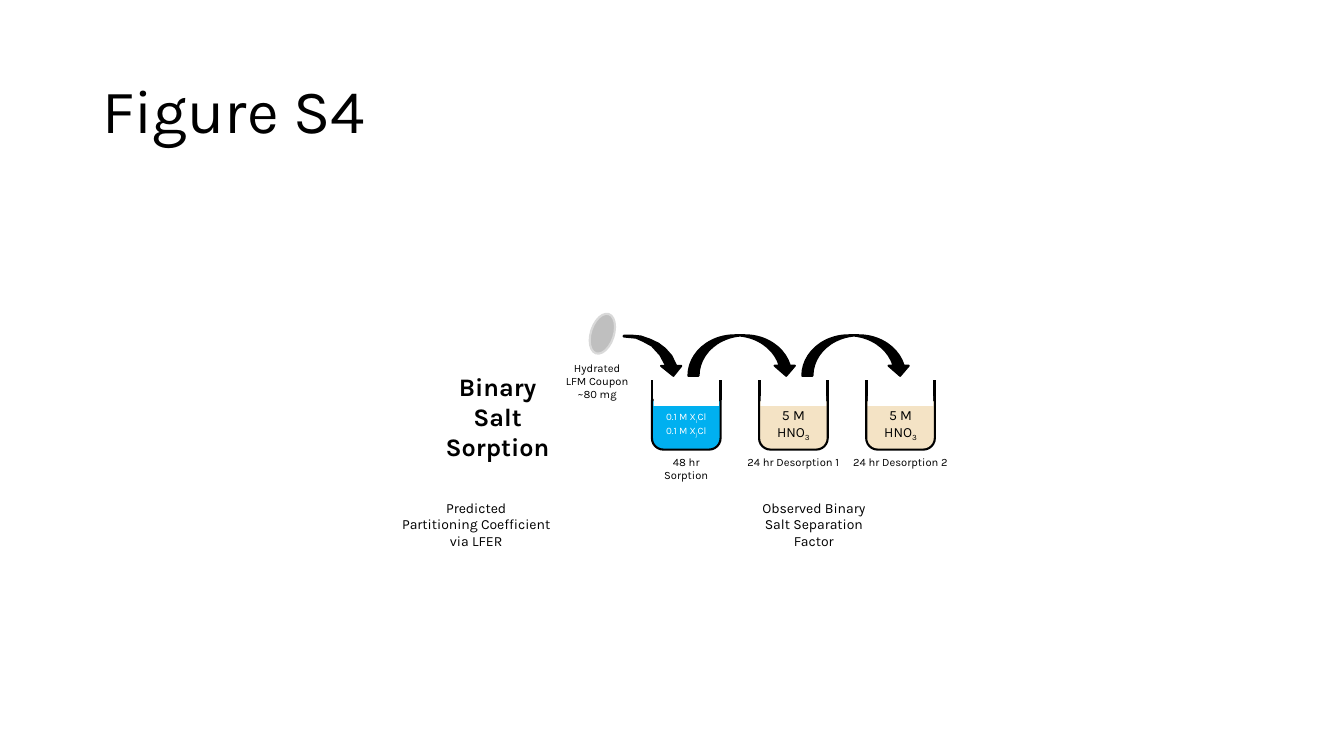
from lxml.etree import SubElement
from pptx import Presentation
from pptx.dml.color import RGBColor
from pptx.enum.shapes import MSO_CONNECTOR, MSO_SHAPE
from pptx.enum.text import MSO_ANCHOR, PP_ALIGN
from pptx.oxml.ns import qn
from pptx.util import Cm, Pt

BLACK = RGBColor(0x00, 0x00, 0x00)
WHITE = RGBColor(0xFF, 0xFF, 0xFF)
SALT_BLUE = RGBColor(0x00, 0xB0, 0xF0)
ACID_GOLD = RGBColor(0xDD, 0xA5, 0x3F)
COUPON_GREY = RGBColor(0xBF, 0xBF, 0xBF)
COUPON_EDGE = RGBColor(0xD9, 0xD9, 0xD9)


def write(shape, paragraphs, size, color=BLACK, bold=False, align=PP_ALIGN.CENTER):
    """Fill a shape with Karla text; underscores enclose subscripts, \\n breaks a line."""
    frame = shape.text_frame
    frame.word_wrap = True
    for index, text in enumerate(paragraphs):
        paragraph = frame.add_paragraph() if index else frame.paragraphs[0]
        paragraph.alignment = align
        for row, line in enumerate(text.split("\n")):
            if row:
                paragraph.add_line_break()
            for part, piece in enumerate(line.split("_")):
                if not piece:
                    continue
                run = paragraph.add_run()
                run.text = piece
                font_format = {"name": "Karla", "size": Pt(size), "bold": bold}
                for attribute, value in font_format.items():
                    setattr(run.font, attribute, value)
                run.font.color.rgb = color
                if part % 2:
                    run.font._element.set("baseline", "-25000")
    return frame


def paint(shape, fill, line=None):
    shape.shadow.inherit = False
    shape.fill.solid()
    shape.fill.fore_color.rgb = fill
    if line is None:
        shape.line.fill.background()
    else:
        shape.line.color.rgb = line
        shape.line.width = Pt(1.5)


prs = Presentation()
prs.slide_width, prs.slide_height = Cm(33.87), Cm(19.05)
slide = prs.slides.add_slide(prs.slide_layouts[6])
shapes = slide.shapes

title = shapes.add_textbox(Cm(2.33), Cm(1.02), Cm(29.21), Cm(3.68))
title_frame = write(title, ["Figure S4"], 44, align=PP_ALIGN.LEFT)
title_frame.vertical_anchor = MSO_ANCHOR.MIDDLE
title_frame.paragraphs[0].line_spacing = 0.9

# Captions: left, top, width, height, paragraphs, size, bold
captions = [
    (10.9, 9.22, 3.28, 1.45, ["Binary Salt Sorption"], 18, True),
    (13.97, 8.97, 2.16, 1.27, ["Hydrated\nLFM Coupon\n~80 mg"], 8, False),
    (18.72, 12.45, 3.58, 1.55, ["Observed Binary Salt Separation Factor"], 10, False),
    (9.7, 12.45, 4.6, 1.55,
     ["Predicted", "Partitioning Coefficient", "via LFER"], 10, False),
]
for left, top, width, height, paragraphs, size, bold in captions:
    caption = shapes.add_textbox(Cm(left), Cm(top), Cm(width), Cm(height))
    write(caption, paragraphs, size, bold=bold)

coupon = shapes.add_shape(MSO_SHAPE.OVAL, Cm(14.89), Cm(7.89), Cm(0.58), Cm(1.04))
coupon.rotation = 18
paint(coupon, COUPON_GREY, COUPON_EDGE)

# Beakers: liquid, opacity, contents, text size, text colour, step label, label width
BEAKER_LEFT, BEAKER_TOP, BEAKER_STEP = 16.43, 10.08, 2.7
BEAKER_WIDTH, BEAKER_HEIGHT, RIM_HEIGHT = 1.73, 1.25, 0.5
COVER_WIDTH = 1.65
acid = ["5 M\nHNO_3_"]
beakers = [
    (SALT_BLUE, 100, ["0.1 M X_i_Cl", "0.1 M X_j_Cl"], 7, WHITE, "48 hr Sorption", 2.31),
    (ACID_GOLD, 30, acid, 10, BLACK, "24 hr Desorption 1", 2.95),
    (ACID_GOLD, 30, acid, 10, BLACK, "24 hr Desorption 2", 2.95),
]
for index, (liquid, opacity, contents, size, ink, step, step_width) in enumerate(beakers):
    left = BEAKER_LEFT + index * BEAKER_STEP
    center = left + BEAKER_WIDTH / 2
    beaker = shapes.add_shape(MSO_SHAPE.ROUND_2_SAME_RECTANGLE, Cm(left), Cm(BEAKER_TOP),
                              Cm(BEAKER_WIDTH), Cm(BEAKER_HEIGHT))
    beaker.adjustments[0], beaker.adjustments[1] = 0, 0.23
    paint(beaker, liquid, BLACK)
    if opacity < 100:
        tint = beaker.fill._xPr.find(qn("a:solidFill"))[0]
        SubElement(tint, qn("a:alpha")).set("val", str(opacity * 1000))
    frame = write(beaker, contents, size, ink)
    frame.vertical_anchor = MSO_ANCHOR.MIDDLE
    margins = {"margin_left": 0, "margin_right": 0,
               "margin_top": Cm(0.2), "margin_bottom": Cm(0.13)}
    for attribute, value in margins.items():
        setattr(frame, attribute, value)

    for wall in (left, left + BEAKER_WIDTH):
        rim = shapes.add_connector(MSO_CONNECTOR.STRAIGHT, Cm(wall), Cm(BEAKER_TOP),
                                   Cm(wall), Cm(BEAKER_TOP - RIM_HEIGHT))
        rim.line.color.rgb = BLACK
        rim.line.width = Pt(2)
        SubElement(rim._element.spPr, qn("a:effectLst"))

    cover = shapes.add_shape(MSO_SHAPE.RECTANGLE, Cm(center - COVER_WIDTH / 2),
                             Cm(BEAKER_TOP - 0.1), Cm(COVER_WIDTH), Cm(0.25))
    paint(cover, WHITE)

    step_label = shapes.add_textbox(Cm(center - step_width / 2), Cm(11.35),
                                    Cm(step_width), Cm(0.61))
    write(step_label, [step], 8)

# Arrow from the coupon into the first beaker
coupon_arrow_outline = [
    (15.72, 8.46), (15.93, 8.46), (16.15, 8.48), (16.38, 8.56), (16.59, 8.66),
    (16.76, 8.79), (16.92, 8.97), (17.04, 9.22), (17.17, 9.22), (16.97, 9.47),
    (16.66, 9.22), (16.79, 9.22), (16.64, 8.94), (16.43, 8.71), (16.21, 8.59),
    (16.03, 8.51), (15.72, 8.48),
]
corners = [(Cm(x), Cm(y)) for x, y in coupon_arrow_outline]
outline = shapes.build_freeform(*corners[0])
outline.add_line_segments(corners[1:], close=True)
paint(outline.convert_to_shape(), BLACK, BLACK)

for index in range(2):
    transfer_arrow = shapes.add_shape(MSO_SHAPE.CURVED_DOWN_ARROW, Cm(17.35 + index * 2.87),
                                      Cm(8.45), Cm(2.72), Cm(1.02))
    paint(transfer_arrow, BLACK, BLACK)

prs.save("out.pptx")
